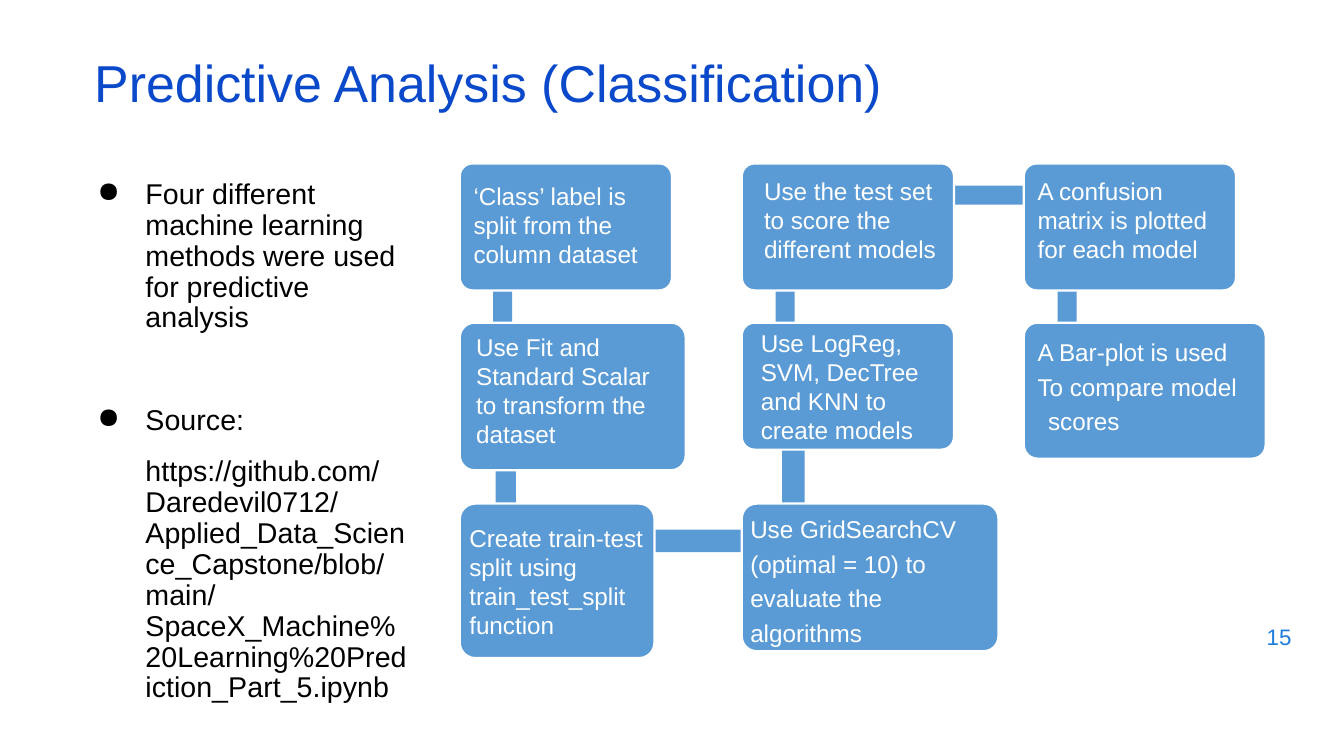
from dataclasses import dataclass

from lxml.etree import SubElement
from pptx import Presentation
from pptx.dml.color import RGBColor
from pptx.enum.shapes import MSO_SHAPE as Kind
from pptx.enum.text import MSO_ANCHOR as Anchor, PP_ALIGN as Align
from pptx.oxml.ns import qn
from pptx.util import Cm, Pt

BLUE = RGBColor(0x5B, 0x9B, 0xD5)
WHITE = RGBColor(0xFF, 0xFF, 0xFF)
BLACK = RGBColor(0, 0, 0)
TITLE = RGBColor(0x0B, 0x49, 0xCB)
PAGE = RGBColor(0x1C, 0x7D, 0xDB)

COLS = [8.69 + 5.33 * i for i in range(3)]
ROWS = [3.09, 6.1, 9.52]
PAD = (0.18, 0.1, 0.18, 0.1)
TIGHT = (0.03, 0.03, 0, 0)
HANG = (0.25, -0.2)


@dataclass
class Box:
    left: float
    top: float
    width: float
    height: float

    def place(self) -> tuple:
        return tuple(map(Cm, (self.left, self.top, self.width, self.height)))


@dataclass
class Para:
    text: str
    gap: float = 0
    indent: tuple[float, float] = (0, 0)
    bullet: str = ""


@dataclass
class Step:
    """One card, its label, and the bar that leads on to the next card."""
    col: int
    row: int
    size: tuple[float, float]
    label: Box
    lines: list[str]
    bar: Box | None = None
    space: float = 1.0
    indent: tuple[float, float] = (0, 0)


def write(shapes, box: Box, paras: list[Para], size: float, color: RGBColor,
          space: float = 1.0, pad: tuple = PAD, anchor=Anchor.TOP, align=Align.LEFT) -> None:
    frame = shapes.add_textbox(*box.place()).text_frame
    frame.word_wrap = True
    frame.vertical_anchor = anchor
    frame.margin_left, frame.margin_top, frame.margin_right, frame.margin_bottom = map(Cm, pad)
    frame.text = "\n".join(p.text for p in paras)
    for para, item in zip(frame.paragraphs, paras):
        para.alignment = align
        para.line_spacing = space
        if item.gap:
            para.space_before = Pt(item.gap)
        props = para._p.get_or_add_pPr()
        left, first = item.indent
        props.set("marL", str(Cm(left)))
        props.set("indent", str(Cm(first)))
        if item.bullet:
            tint = SubElement(props, qn("a:buClr"))
            SubElement(tint, qn("a:srgbClr"), val=str(color))
            SubElement(props, qn("a:buChar"), char=item.bullet)
        for run in para.runs:
            run.font.name = "Arial"
            run.font.size = Pt(size)
            run.font.color.rgb = color


def block(shapes, kind, box: Box):
    shape = shapes.add_shape(kind, *box.place())
    shape.shadow.inherit = False
    shape.fill.solid()
    shape.fill.fore_color.rgb = BLUE
    shape.line.fill.background()
    return shape


def draw(slide, step: Step) -> None:
    shapes = slide.shapes.add_group_shape().shapes
    if step.bar:
        block(shapes, Kind.RECTANGLE, step.bar)
    card = block(shapes, Kind.ROUNDED_RECTANGLE, Box(COLS[step.col], ROWS[step.row], *step.size))
    card.adjustments[0] = 0.1
    card.line.color.rgb = WHITE
    card.line.width = Pt(1.2)
    paras = [Para(line, indent=step.indent) for line in step.lines]
    write(shapes, step.label, paras, 13, WHITE, step.space, TIGHT)


STEPS = [
    Step(0, 0, (4.01, 2.4), Box(8.92, 3.4, 3.3, 1.7),
         ["‘Class’ label is split from the column dataset"], Box(9.32, 3.68, 0.36, 3)),
    Step(0, 1, (4.27, 2.79), Box(8.97, 6.25, 3.5, 2.26),
         ["Use Fit and Standard Scalar to transform the dataset"], Box(9.37, 6.81, 0.38, 3.45)),
    Step(0, 2, (3.68, 2.92), Box(8.84, 9.86, 3.4, 2.26),
         ["Create train-test split using train_test_split function"],
         Box(9.45, 10.01, 4.88, 0.43)),
    Step(1, 2, (4.85, 2.79), Box(14.15, 9.6, 4.27, 2.57),
         ["Use GridSearchCV (optimal = 10) to evaluate the algorithms"],
         Box(14.78, 6.71, 0.43, 3.45), 1.18),
    Step(1, 1, (4.01, 2.4), Box(14.35, 6.17, 3.33, 2.26),
         ["Use LogReg, SVM, DecTree and KNN to create models"], Box(14.66, 3.68, 0.36, 3)),
    Step(1, 0, (4.01, 2.4), Box(14.41, 3.3, 3.56, 1.7),
         ["Use the test set to score the different models"], Box(14.83, 3.51, 5.31, 0.36)),
    Step(2, 0, (4.01, 2.4), Box(19.58, 3.3, 3.56, 1.7),
         ["A confusion matrix is plotted for each model"], Box(19.99, 3.68, 0.36, 3)),
    Step(2, 1, (4.57, 2.57), Box(19.53, 6.25, 4.01, 1.9),
         ["A Bar-plot is used", "To compare model scores"], space=1.18, indent=HANG),
]

NOTES = [
    Para("Four different machine learning methods were used for predictive analysis",
         0, (1.27, -0.91), "●"),
    Para("Source:", 38.5, (1.27, -0.91), "●"),
    Para("https://github.com/Daredevil0712/Applied_Data_Science_Capstone/blob/main/"
         "SpaceX_Machine%20Learning%20Prediction_Part_5.ipynb", 11, (1.27, 0)),
]


def main() -> None:
    deck = Presentation()
    deck.slide_width, deck.slide_height = Cm(25.4), Cm(14.29)
    slide = deck.slides.add_slide(deck.slide_layouts[6])
    write(slide.shapes, Box(18.87, 11.61, 5.72, 0.84), [Para("15")], 12, PAGE,
          anchor=Anchor.MIDDLE, align=Align.RIGHT)
    write(slide.shapes, Box(1.3, 3.3, 6.65, 3.86), NOTES, 15.3, BLACK, 0.9)
    write(slide.shapes, Box(1.6, 1.12, 21.9, 1.14),
          [Para("Predictive Analysis (Classification)")], 27.8, TITLE, 0.7, anchor=Anchor.MIDDLE)
    for step in STEPS:
        draw(slide, step)
    deck.save("out.pptx")


if __name__ == "__main__":
    main()
